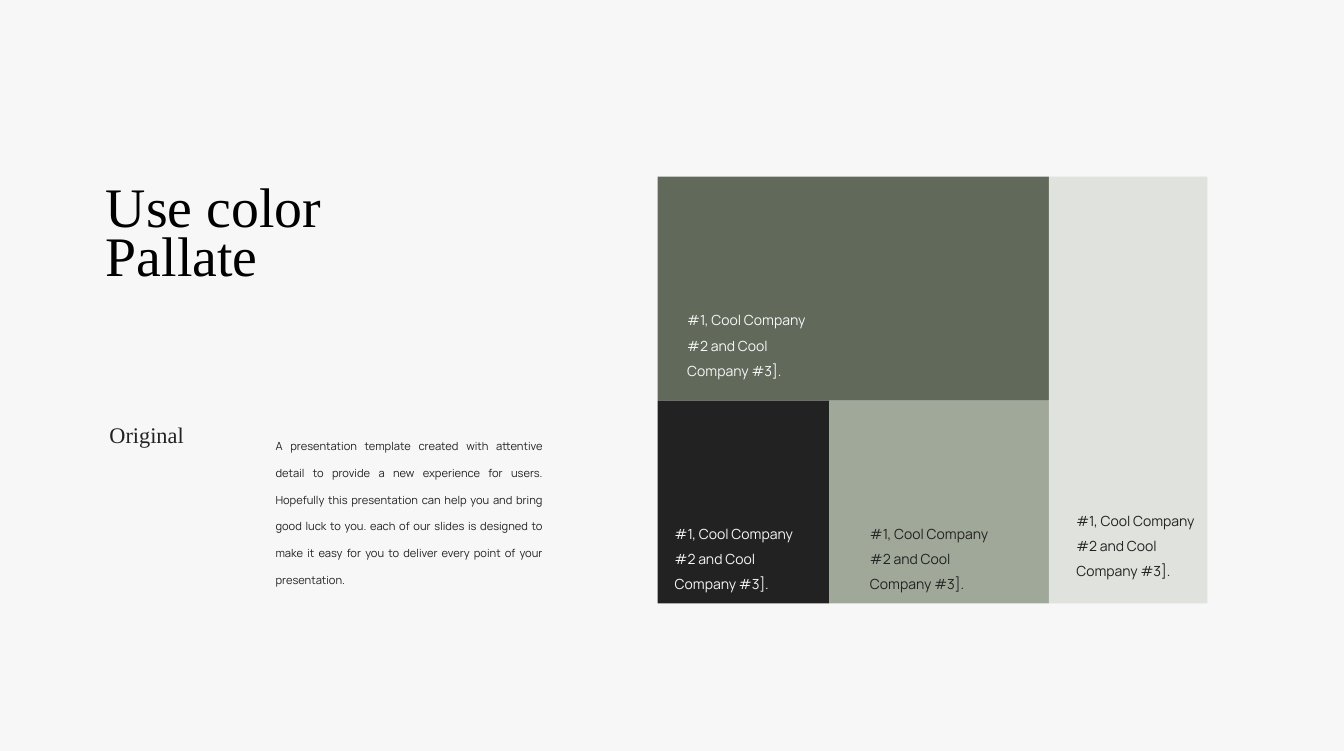
"""Build the colour palette slide with four labelled swatches."""
from pptx import Presentation
from pptx import util as u
from pptx.dml.color import RGBColor
from pptx.enum import shapes, text

THEME = {
    "paper": "F7F7F7", "black": "000000", "ink": "222222",
    "moss": "61695B", "sage": "A0A89A", "mist": "DFE2DD",
    "serif": "Times New Roman", "sans": "Manrope",
    "title": 80, "heading": 32, "label": 20, "body": 16,
}
SLIDE = (1927.44, 1077.12)
TITLE = ["Use color", "Pallate"]
HEADING = "Original"
BODY = ("A presentation template created with attentive detail to provide a new "
        "experience for users. Hopefully this presentation can help you and bring "
        "good luck to you. each of our slides is designed to make it easy for you "
        "to deliver every point of your presentation.")
LABEL = "#1, Cool Company #2 and Cool Company #3]."

TITLE_AT, TITLE_STEP = (144.7, 253.4, 353.5, 98.6), 70.6
HEADING_AT = (149.8, 607.7, 164.9, 41.8)
BODY_AT = (388.1, 607.7, 397.4, 234.7)
COLS = [943.2, 1189.4, 1504.1, 1731.6]
ROWS = [253.4, 574.6, 865.4]
LABEL_H = 113.8
# fill, text colour, column span, row span, label left, label top, label width
SWATCHES = [
    ("moss", "paper", (0, 2), (0, 1), 978.5, 432, 191.5),
    ("ink", "paper", (0, 1), (1, 2), 960.5, 738, 211.7),
    ("sage", "ink", (1, 2), (1, 2), 1240.6, 738, 211.7),
    ("mist", "ink", (2, 3), (0, 2), 1536.5, 719.3, 211.7),
]


def color(name):
    return RGBColor.from_string(THEME[name])


def points(box):
    return [u.Pt(v) for v in box]


def add_text(s, box, content, size, face, ink, spacing, align=text.PP_ALIGN.LEFT):
    tf = s.shapes.add_textbox(*points(box)).text_frame
    tf.word_wrap = True
    tf.text = content
    p = tf.paragraphs[0]
    p.line_spacing = spacing
    p.alignment = align
    r = p.runs[0]
    r.font.size = u.Pt(THEME[size])
    r.font.name = THEME[face]
    r.font.color.rgb = color(ink)


def add_swatch(s, fill, cols, rows):
    left, right = (COLS[i] for i in cols)
    top, bottom = (ROWS[i] for i in rows)
    sp = s.shapes.add_shape(shapes.MSO_SHAPE.RECTANGLE,
                            *points((left, top, right - left, bottom - top)))
    sp.shadow.inherit = False
    sp.fill.solid()
    sp.fill.fore_color.rgb = color(fill)
    sp.line.fill.background()


def main():
    prs = Presentation()
    prs.slide_width, prs.slide_height = points(SLIDE)
    s = prs.slides.add_slide(prs.slide_layouts[6])
    s.background.fill.solid()
    s.background.fill.fore_color.rgb = color("paper")

    left, top, width, height = TITLE_AT
    for i, line in enumerate(TITLE):
        add_text(s, (left, top + i * TITLE_STEP, width, height), line,
                 "title", "serif", "black", 0.9)
    add_text(s, HEADING_AT, HEADING, "heading", "serif", "ink", 0.8)
    add_text(s, BODY_AT, BODY, "body", "sans", "ink", 2.0, text.PP_ALIGN.JUSTIFY)

    for fill, ink, cols, rows, x, y, w in SWATCHES:
        add_swatch(s, fill, cols, rows)
        add_text(s, (x, y, w, LABEL_H), LABEL, "label", "sans", ink, 1.5)

    prs.save("out.pptx")


if __name__ == "__main__":
    main()
